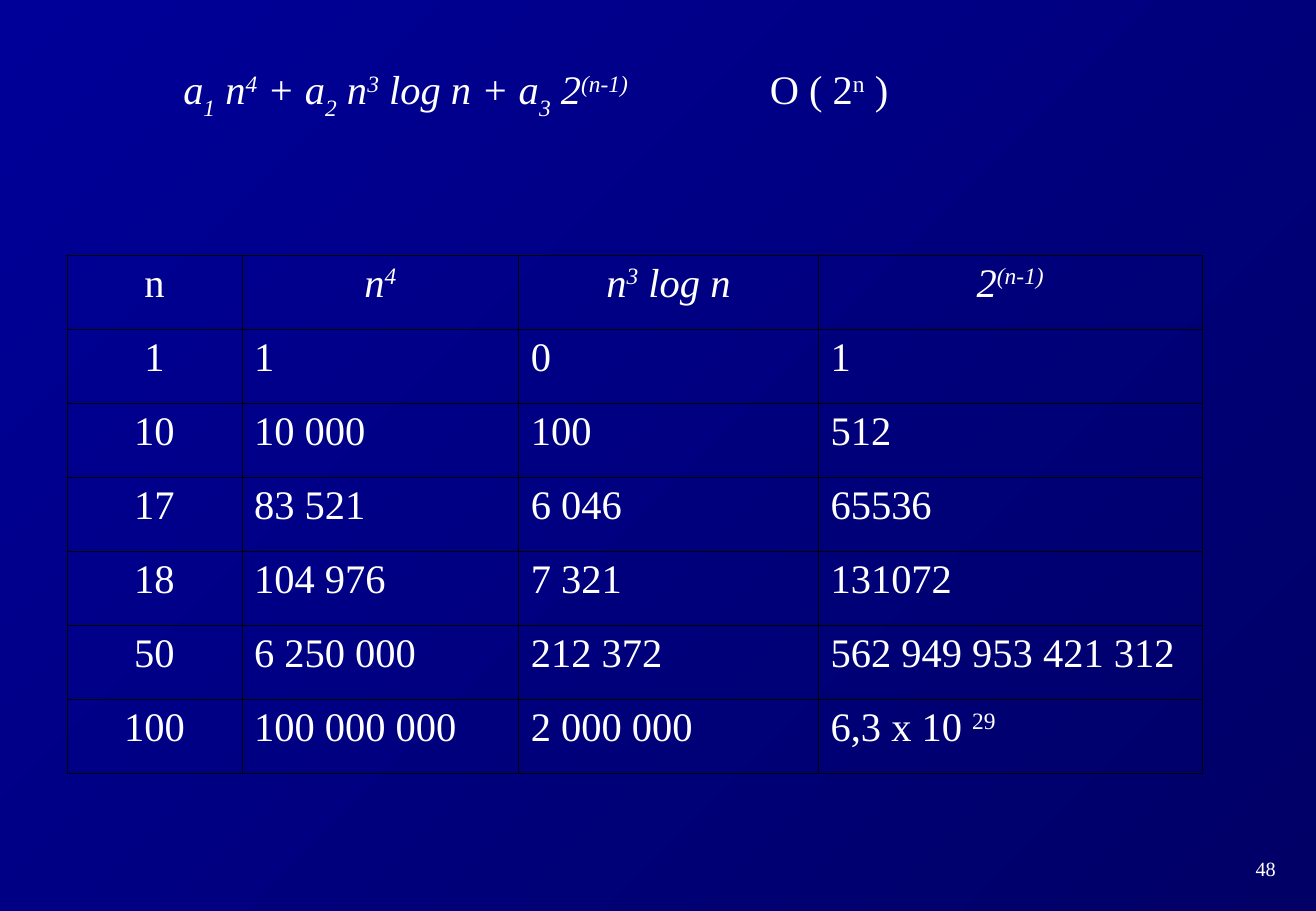
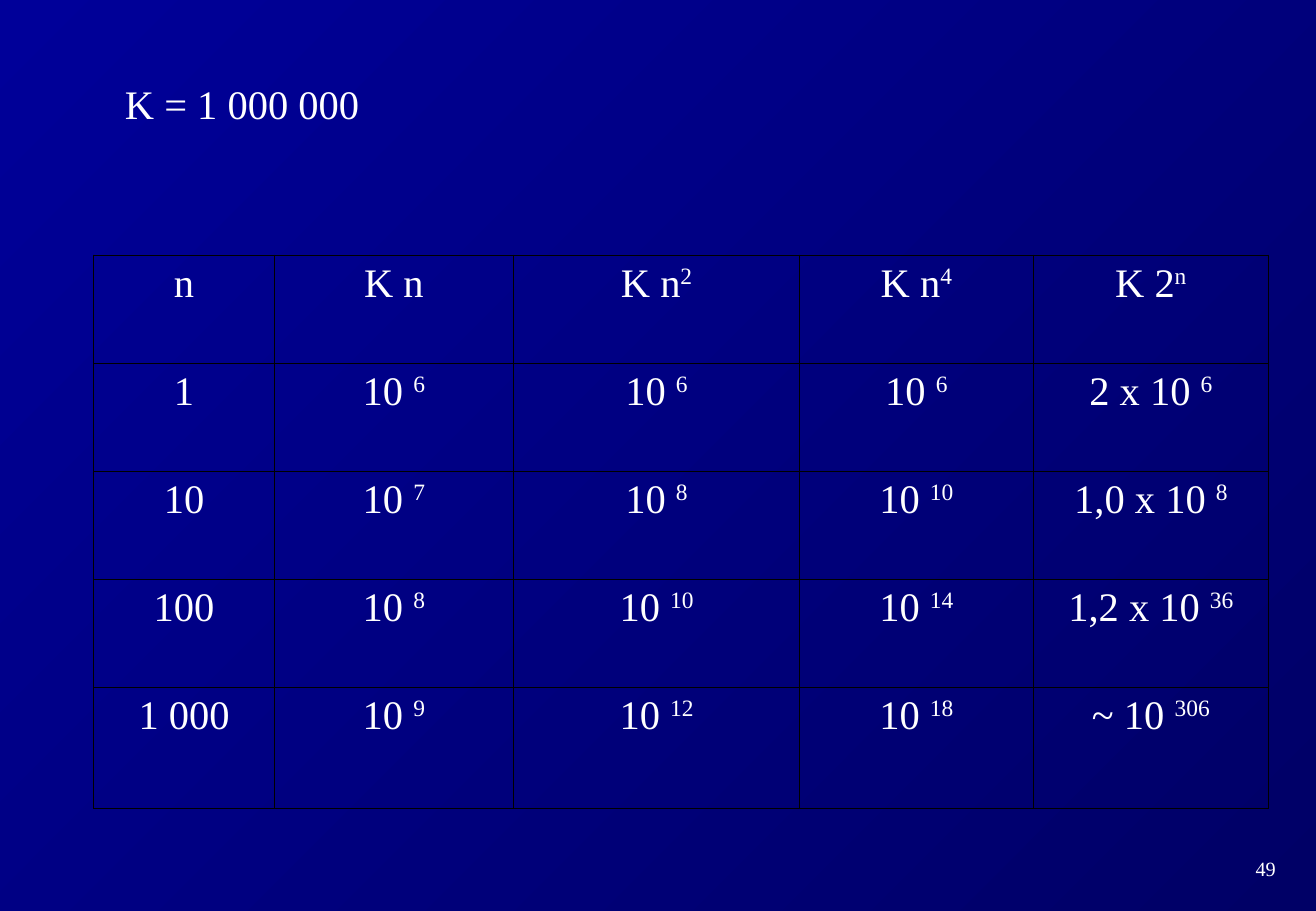
import pptx
import pptx.util
import pptx.dml.color
import pptx.enum.text
import pptx.oxml.ns
from lxml import etree

Cm, Pt = pptx.util.Cm, pptx.util.Pt
ALIGN = pptx.enum.text.PP_ALIGN
TOP = 5.33  # both tables start at this height


def color(code):
    return pptx.dml.color.RGBColor.from_string(code)


def apply(target, values):
    for name, value in values.items():
        setattr(target, name, value)


class Deck:
    """Shared style and the current slide."""
    ink, edge = "FFFFFF", "000000"
    stops = ("000066", "000099")
    font = {"name": "Times New Roman", "size": Pt(24), "bold": False}
    frame = {
        "word_wrap": True,
        "auto_size": pptx.enum.text.MSO_AUTO_SIZE.NONE,
        "vertical_anchor": pptx.enum.text.MSO_ANCHOR.MIDDLE,
    }
    marks = {"^": "30000", "_": "-30000"}

    def __init__(self, first):
        self.prs = pptx.Presentation()
        apply(self.prs, {"slide_width": Cm(27.53), "slide_height": Cm(19.05)})
        self.page = first - 1
        # Diagonal background for every slide
        fill = self.prs.slide_master.background.fill
        fill.gradient()
        fill.gradient_angle = 135
        for stop, code in zip(fill.gradient_stops, self.stops):
            stop.color.rgb = color(code)

    def label(self, para, text, align=ALIGN.LEFT, **extra):
        """Asterisks enclose italics; bars part runs; ^ raises, _ lowers."""
        para.alignment = align
        for turn, part in enumerate(text.split("*")):
            for piece in filter(None, part.split("|")):
                base = self.marks.get(piece[0])
                run = para.add_run()
                run.text = piece[1:] if base else piece
                apply(run.font, {**self.font, "italic": turn % 2 == 1, **extra})
                run.font.color.rgb = color(self.ink)
                if base:
                    run._r.get_or_add_rPr().set("baseline", base)

    def slide(self):
        self.cur = self.prs.slides.add_slide(self.prs.slide_layouts[5])
        self.page += 1
        # Page number
        box = self.cur.shapes.add_textbox(Cm(25.45), Cm(17.78), Cm(2.06), Cm(0.76))
        apply(box.text_frame, self.frame)
        self.label(box.text_frame.paragraphs[0], str(self.page),
                   ALIGN.CENTER, size=Pt(12))

    def title(self, text, left, top, width, height, tab=None):
        head = self.cur.shapes.title
        apply(head, {"left": Cm(left), "top": Cm(top),
                     "width": Cm(width), "height": Cm(height)})
        apply(head.text_frame, self.frame)
        para = head.text_frame.paragraphs[0]
        if tab:
            tag = pptx.oxml.ns.qn
            tabs = etree.SubElement(para._p.get_or_add_pPr(), tag("a:tabLst"))
            etree.SubElement(tabs, tag("a:tab"), pos=str(Cm(tab)), algn="l")
        self.label(para, text)

    def border(self, cell):
        tag = pptx.oxml.ns.qn
        props = cell._tc.get_or_add_tcPr()
        for side in "LRTB":
            line = etree.SubElement(props, tag("a:ln" + side), w=str(Pt(0.45)))
            fill = etree.SubElement(line, tag("a:solidFill"))
            etree.SubElement(fill, tag("a:srgbClr"), val=self.edge)

    def table(self, left, cols, rows, data, center=False):
        """Header and first column are centred; center does all cells."""
        grid = self.cur.shapes.add_table(
            len(rows), len(cols), Cm(left), Cm(TOP),
            Cm(sum(cols)), Cm(sum(rows))).table
        apply(grid, {"first_row": False, "horz_banding": False})
        for col, width in zip(grid.columns, cols):
            col.width = Cm(width)
        for row, height in zip(grid.rows, rows):
            row.height = Cm(height)
        for r, texts in enumerate(data):
            for c, text in enumerate(texts):
                cell = grid.cell(r, c)
                self.border(cell)
                cell.fill.background()
                mid = center or r == 0 or c == 0
                self.label(cell.text_frame.paragraphs[0], text,
                           ALIGN.CENTER if mid else ALIGN.LEFT)


def main():
    deck = Deck(first=48)

    # Growth of each term
    deck.slide()
    deck.title("*a|_1| n|^4| + a|_2| n|^3| log n + a|_3| 2|^(n-1)*\tO ( 2|^n| )",
               3.58, 1.22, 15.6, 1.45, tab=12.27)
    deck.table(1.4, [3.66, 5.79, 6.27, 8.03], [1.55] * 7, [
        ["n", "*n|^4*", "*n|^3| log n*", "*2|^(n-1)*"],
        ["1", "1", "0", "1"],
        ["10", "10 000", "100", "512"],
        ["17", "83 521", "6 046", "65536"],
        ["18", "104 976", "7 321", "131072"],
        ["50", "6 250 000", "212 372", "562 949 953 421 312"],
        ["100", "100 000 000", "2 000 000", "6,3 x 10 |^29"],
    ])

    # Growth with a large constant
    deck.slide()
    deck.title("K = 1 000 000", 2.36, 1.52, 6, 1.27)
    deck.table(1.96, [3.78, 5, 5.99, 4.88, 4.93], [2.26] * 4 + [2.54], [
        ["n", "K n", "K n|^2", "K n|^4", "K 2|^n"],
        ["1", "10 |^6", "10 |^6", "10 |^6", "2 x 10 |^6"],
        ["10", "10 |^7", "10 |^8", "10 |^10", "1,0 x 10 |^8"],
        ["100", "10 |^8", "10 |^10", "10 |^14", "1,2 x 10 |^36"],
        ["1 000", "10 |^9", "10 |^12", "10 |^18", "~ 10 |^306"],
    ], center=True)

    deck.prs.save("out.pptx")


if __name__ == "__main__":
    main()
